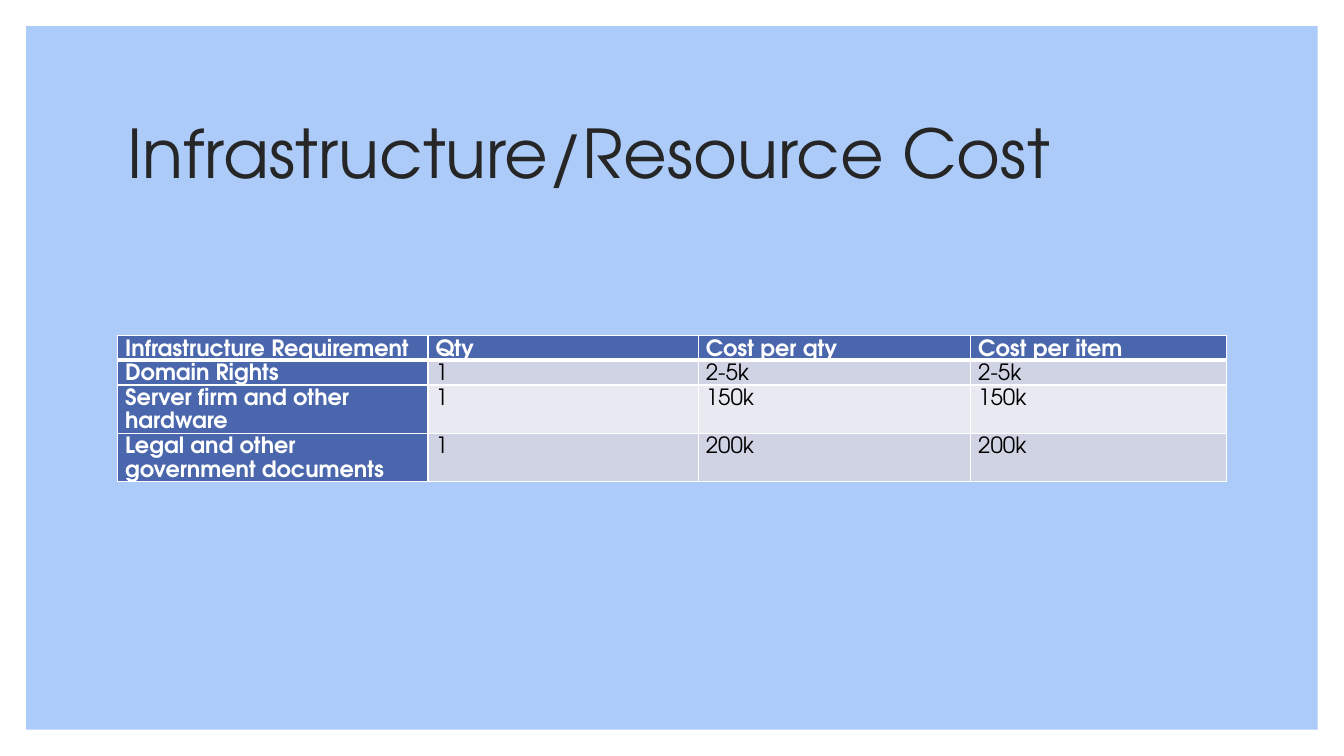
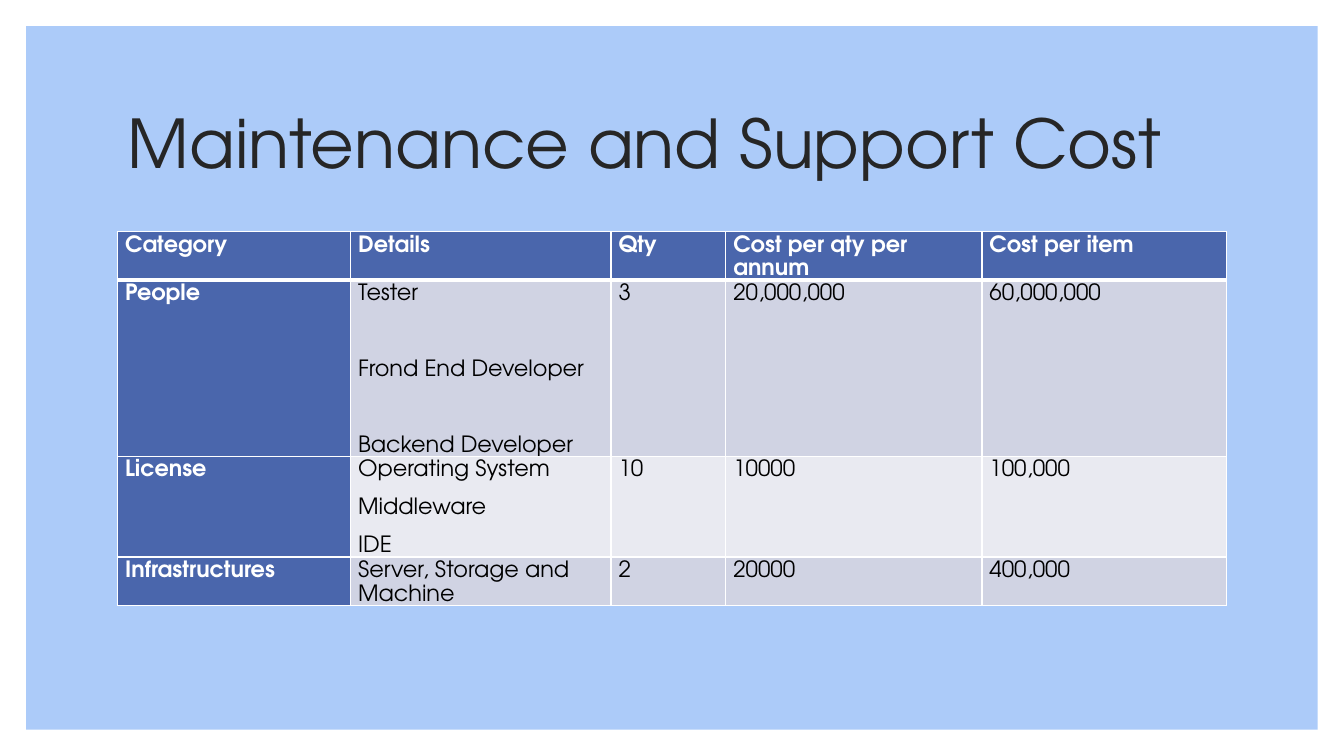
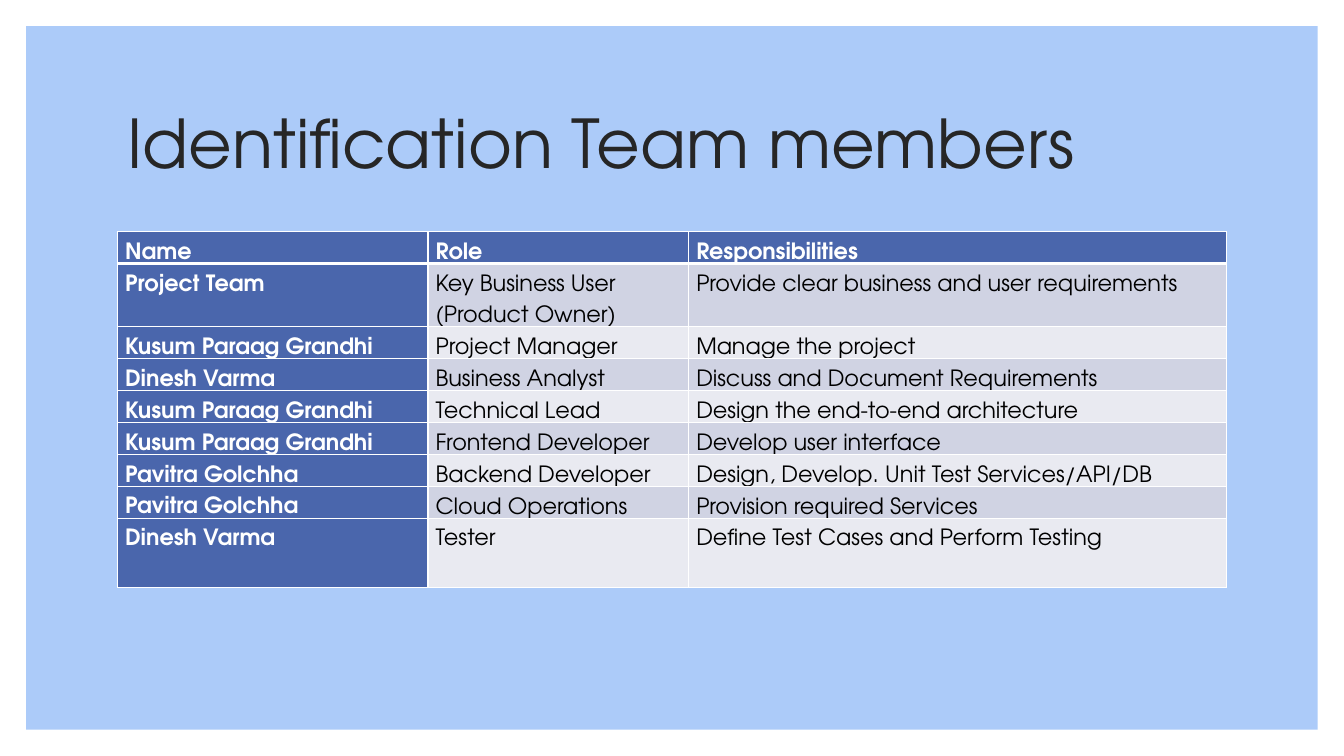
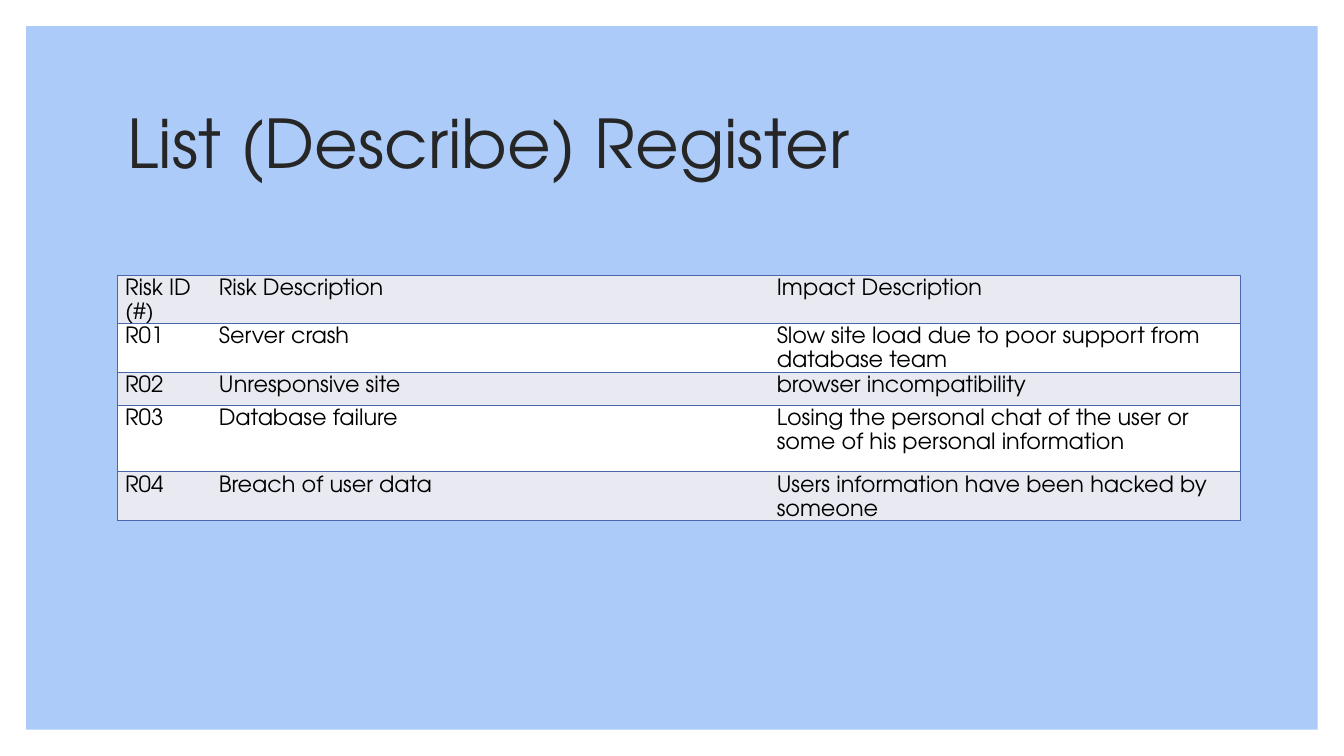
from lxml.etree import SubElement
from pptx import Presentation
from pptx.dml.color import RGBColor
from pptx.enum.shapes import MSO_SHAPE
from pptx.enum.text import MSO_ANCHOR, MSO_AUTO_SIZE, PP_ALIGN
from pptx.oxml.ns import qn
from pptx.util import Pt

FONT = "TeX Gyre Adventor"
WHITE = RGBColor(0xFF, 0xFF, 0xFF)
BLACK = RGBColor(0x00, 0x00, 0x00)
INK = RGBColor(0x26, 0x26, 0x26)
SKY = RGBColor(0xAC, 0xCB, 0xF9)
BLUE = RGBColor(0x4A, 0x66, 0xAC)
MIST = RGBColor(0xD0, 0xD3, 0xE3)
PALE = RGBColor(0xE9, 0xEA, 0xF1)

NO_STYLE = "{2D5ABB26-0587-4C30-8999-92F81FD0307C}"
LEFT, TITLE_W, TITLE_H = 84, 792, 108
MARGIN = 18.72
PARA_GAP = 10

# A list in a cell holds its paragraphs; "gaps" sets a row's own paragraph gap.
SLIDES = [
    dict(
        title="Infrastructure/Resource Cost", title_top=58, top=239.9,
        cols=[221.8, 193, 194.6, 182.6], heights=[17.4, 17.4, 34.3, 34.3],
        rows=[
            ("Infrastructure Requirement", "Qty", "Cost per qty", "Cost per item"),
            ("Domain Rights", "1", "2-5k", "2-5k"),
            ("Server firm and other hardware", "1", "150k", "150k"),
            ("Legal and other government documents", "1", "200k", "200k"),
        ]),
    dict(
        title="Maintenance and Support Cost", top=165.6,
        cols=[166.5, 186, 82, 183, 174.5], heights=[34.3, 125.4, 71.4, 34.3],
        gaps={1: 37.1},
        rows=[
            ("Category", "Details", "Qty", "Cost per qty per annum", "Cost per item"),
            ("People", ["Tester", "Frond End Developer", "Backend Developer"],
             "3", "20,000,000", "60,000,000"),
            ("License", ["Operating System", "Middleware", "IDE"],
             "10", "10000", "100,000"),
            ("Infrastructures", "Server, Storage and Machine",
             "2", "20000", "400,000"),
        ]),
    dict(
        title="Identification Team members", top=165.6, spacing=1.5,
        cols=[221.8, 186.2, 384], heights=[22.7, 44.5] + [22.6] * 6 + [49.3],
        rows=[
            ("Name", "Role", "Responsibilities"),
            ("Project Team", "Key Business User (Product Owner)",
             "Provide clear business and user requirements"),
            ("Kusum Paraag Grandhi", "Project Manager", "Manage the project"),
            ("Dinesh Varma", "Business Analyst", "Discuss and Document Requirements"),
            ("Kusum Paraag Grandhi", "Technical Lead",
             "Design the end-to-end architecture"),
            ("Kusum Paraag Grandhi", "Frontend Developer", "Develop user interface"),
            ("Pavitra Golchha", "Backend Developer",
             "Design, Develop. Unit Test Services/API/DB"),
            ("Pavitra Golchha", "Cloud Operations", "Provision required Services"),
            ("Dinesh Varma", "Tester", "Define Test Cases and Perform Testing"),
        ]),
    dict(
        title="List (Describe) Register", top=196.5, headed=False,
        cols=[67, 398.5, 336.5], heights=[34.3, 34.3, 23.7, 47.5, 34.3],
        rows=[
            ("Risk ID (#)", "Risk Description", "Impact Description"),
            ("R01", "Server crash",
             "Slow site load due to poor support from database team"),
            ("R02", "Unresponsive site", "browser incompatibility"),
            ("R03", "Database failure",
             "Losing the personal chat of the user or some of his personal information"),
            ("R04", "Breach of user data",
             "Users information have been hacked by someone"),
        ]),
]


def set_text(tf, text, size=16, color=BLACK, bold=False, spacing=1.15, gap=0):
    lines = text if isinstance(text, list) else [text]
    for i, line in enumerate(lines):
        p = tf.paragraphs[0] if i == 0 else tf.add_paragraph()
        p.alignment = PP_ALIGN.LEFT
        p.line_spacing = spacing
        p.space_before = Pt(0)
        p.space_after = Pt(gap)
        r = p.add_run()
        r.text = line
        r.font.name, r.font.size, r.font.bold = FONT, Pt(size), bold
        r.font.color.rgb = color


def set_borders(cell, color, widths):
    """Draw left, right, top and bottom borders; a width of 0 means none."""
    tc_pr = cell._tc.get_or_add_tcPr()
    for i, (side, width) in enumerate(zip("LRTB", widths)):
        ln = SubElement(tc_pr, qn(f"a:ln{side}"), w=str(Pt(width)))
        if width:
            fill = SubElement(ln, qn("a:solidFill"))
            SubElement(fill, qn("a:srgbClr"), val=str(color))
        else:
            SubElement(ln, qn("a:noFill"))
        tc_pr.insert(i, ln)


def headed_look(row, col):
    """Fill, text colour, bold, border colour and widths with a blue header row and column."""
    widths = (1, 1, 3 if row == 1 else 1, 3 if row == 0 else 1)
    if row == 0 or col == 0:
        return BLUE, WHITE, True, WHITE, widths
    return (MIST if row % 2 else PALE), BLACK, False, WHITE, widths


def ruled_look(row, col, last_col):
    """The same for light stripes with blue rules and no inner verticals."""
    widths = (int(col == 0), int(col == last_col), 1, 1)
    return (WHITE if row % 2 else PALE), BLACK, False, BLUE, widths


def add_cost_table(s, rows, cols, heights, top, spacing=1.15, headed=True, gaps=None):
    frame = s.shapes.add_table(len(rows), len(cols), Pt(LEFT), Pt(top),
                               Pt(sum(cols)), Pt(sum(heights)))
    table = frame.table
    table._tbl.tblPr.find(qn("a:tableStyleId")).text = NO_STYLE
    table.first_row = headed
    table.first_col = headed
    for column, width in zip(table.columns, cols):
        column.width = Pt(width)
    for i, (row, height) in enumerate(zip(rows, heights)):
        table.rows[i].height = Pt(height)
        gap = (gaps or {}).get(i, PARA_GAP)
        for j, text in enumerate(row):
            look = headed_look(i, j) if headed else ruled_look(i, j, len(cols) - 1)
            fill, color, bold, line, widths = look
            cell = table.cell(i, j)
            cell.margin_left = cell.margin_right = Pt(5.4)
            cell.margin_top, cell.margin_bottom = Pt(0.5), Pt(0)
            cell.fill.solid()
            cell.fill.fore_color.rgb = fill
            set_borders(cell, line, widths)
            set_text(cell.text_frame, text, color=color, bold=bold,
                     spacing=spacing, gap=gap)


def add_panel(s, prs):
    """Lay the blue panel behind everything else on the slide."""
    panel = s.shapes.add_shape(
        MSO_SHAPE.RECTANGLE, Pt(MARGIN), Pt(MARGIN),
        prs.slide_width - 2 * Pt(MARGIN), prs.slide_height - 2 * Pt(MARGIN))
    panel.shadow.inherit = False
    panel.fill.solid()
    panel.fill.fore_color.rgb = SKY
    panel.line.fill.background()
    s.shapes.element.insert(2, panel.element)


def add_title(s, text, top):
    title = s.shapes.title
    title.left, title.top = Pt(LEFT), Pt(top)
    title.width, title.height = Pt(TITLE_W), Pt(TITLE_H)
    tf = title.text_frame
    tf.word_wrap = True
    tf.auto_size = MSO_AUTO_SIZE.NONE
    tf.vertical_anchor = MSO_ANCHOR.MIDDLE
    set_text(tf, text, size=48, color=INK, spacing=0.9)


def main():
    prs = Presentation()
    prs.slide_width, prs.slide_height = Pt(960), Pt(540)
    for content in SLIDES:
        s = prs.slides.add_slide(prs.slide_layouts[5])
        add_panel(s, prs)
        table = dict(content)
        add_title(s, table.pop("title"), table.pop("title_top", 51))
        add_cost_table(s, **table)
    prs.save("out.pptx")


if __name__ == "__main__":
    main()
